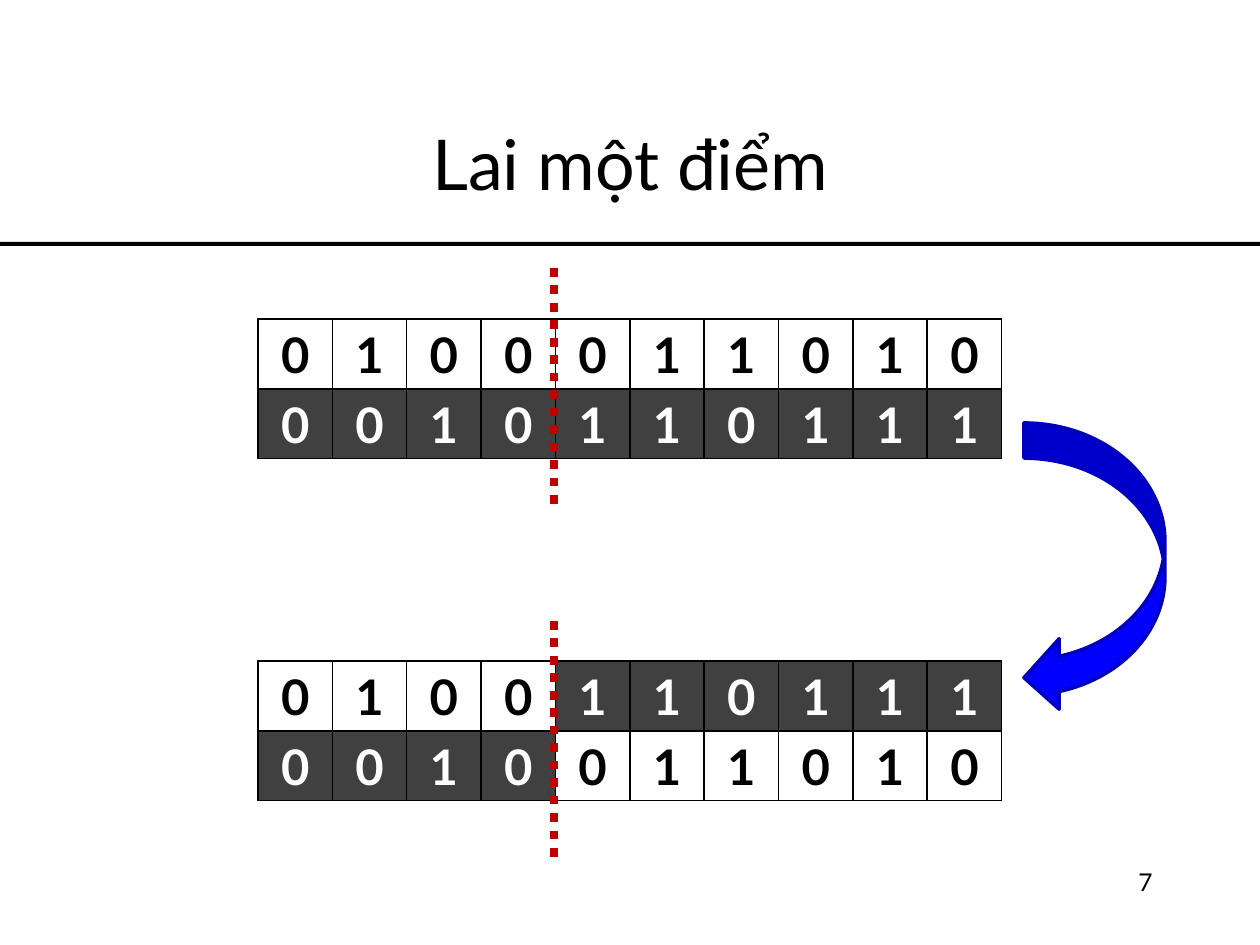
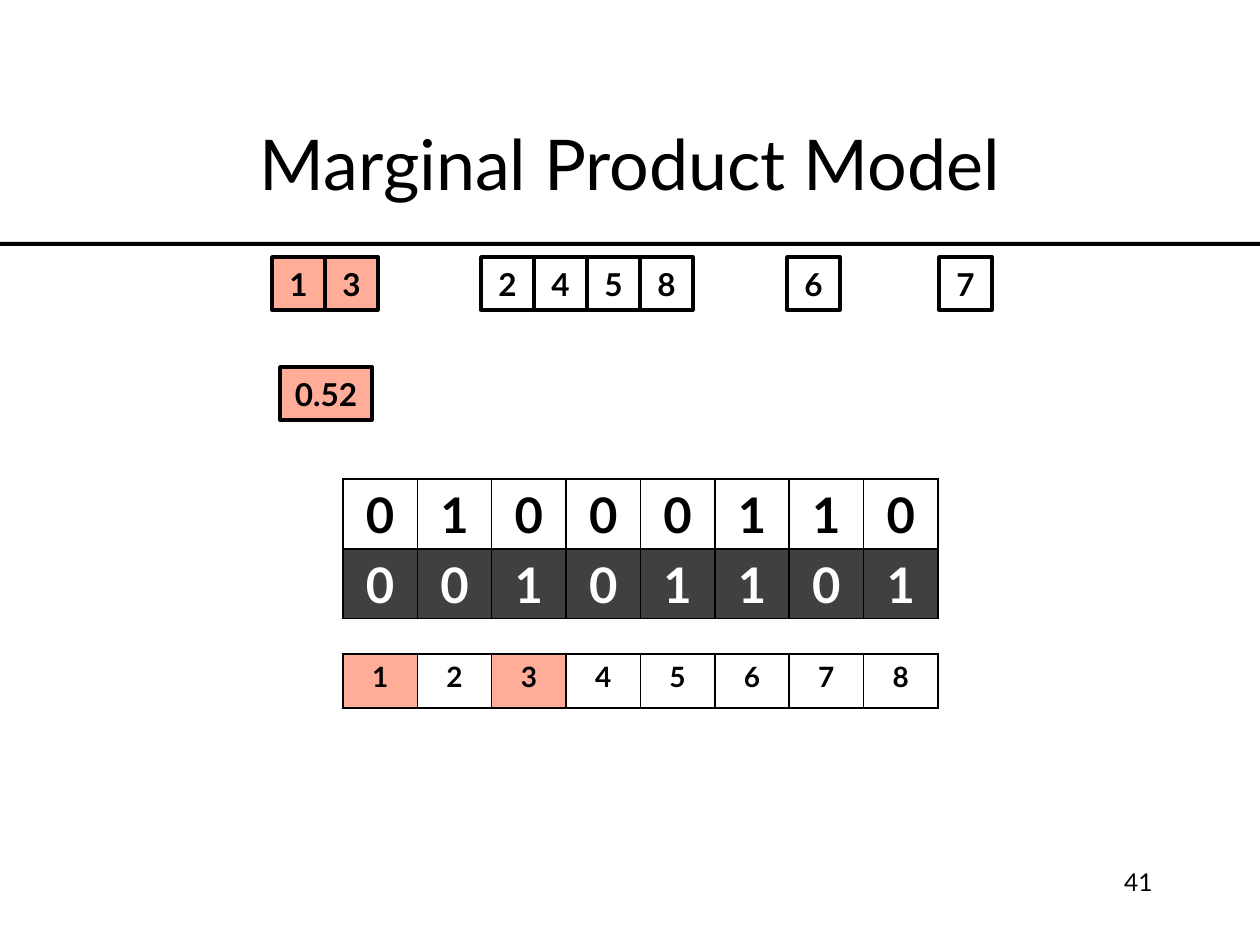
from dataclasses import dataclass

from lxml.etree import SubElement
from pptx import Presentation
from pptx.dml.color import RGBColor as Rgb
from pptx.enum.dml import MSO_LINE_DASH_STYLE as Dash
from pptx.enum.shapes import MSO_CONNECTOR_TYPE as Link, MSO_SHAPE as Shape
from pptx.enum.text import MSO_VERTICAL_ANCHOR as Anchor, PP_PARAGRAPH_ALIGNMENT as Align
from pptx.oxml.ns import qn
from pptx.util import Emu, Pt

SCALE = 914400 / 126
FONT = "Lato"
COLORS = {
    "black": "000000",
    "white": "FFFFFF",
    "dark": "404040",
    "rose": "FFAD99",
    "red": "C00000",
    "blue": "0000FF",
    "navy": "0000BD",
}
FILLS = {".": None, "w": "white", "d": "dark", "r": "rose"}
CHIP = 53


@dataclass
class Strip:
    """A table of genes; marks give one fill letter per cell."""
    left: int
    top: int
    width: int
    high: int
    rows: list[str]
    marks: list[str]
    size: int = 28


@dataclass
class Group:
    """A run of touching chips that hold one label each."""
    left: int
    top: int
    labels: list[str]
    fill: str | None = None
    width: int = CHIP


def px(count: float) -> Emu:
    """Turn pixels into EMU."""
    return Emu(round(count * SCALE))


def box(*sides: int) -> list[Emu]:
    """Turn several pixel lengths into EMU."""
    return [px(side) for side in sides]


def hue(name: str) -> Rgb:
    """Look up a named colour."""
    return Rgb.from_string(COLORS[name])


def paint(fill, name: str | None) -> None:
    """Fill with a named colour, or leave clear."""
    if name is None:
        fill.background()
    else:
        fill.solid()
        fill.fore_color.rgb = hue(name)


def write(frame, text: str, size: int, align: Align, color: str = "black", bold: bool = False) -> None:
    """Set one styled line of text."""
    frame.text = text
    para = frame.paragraphs[0]
    para.alignment = align
    font = para.runs[0].font
    font.name, font.size, font.bold = FONT, Pt(size), bold
    font.color.rgb = hue(color)


def form(slide, kind: Shape, sides: list[Emu], fill: str | None, line: str | None):
    """Draw a flat preset shape."""
    shape = slide.shapes.add_shape(kind, *sides)
    shape.shadow.inherit = False
    paint(shape.fill, fill)
    paint(shape.line.fill, line)
    if line:
        shape.line.width = Pt(2)
    return shape


def label(slide, sides: list[Emu], text: str, size: int, align: Align, anchor: Anchor) -> None:
    """Draw a wrapped text box."""
    frame = slide.shapes.add_textbox(*sides).text_frame
    frame.word_wrap = True
    frame.vertical_anchor = anchor
    write(frame, text, size, align)


def start(deck, title: str, number: int):
    """Add a slide with its rule, title and number."""
    slide = deck.slides.add_slide(deck.slide_layouts[6])
    rule = form(slide, Shape.PENTAGON, box(-74, 242, 1334, 4), "black", None)
    rule.rotation = 180
    rule.adjustments[0] = 0.06
    label(slide, box(94, 84, 1072, 158), title, 40, Align.CENTER, Anchor.MIDDLE)
    label(slide, box(903, 861, 262, 63), str(number), 14, Align.RIGHT, Anchor.TOP)
    return slide


def edge(cell) -> None:
    """Rule all four sides of a cell."""
    props = cell._tc.get_or_add_tcPr()
    for spot, side in enumerate(("lnL", "lnR", "lnT", "lnB")):
        line = SubElement(props, qn(f"a:{side}"), w=str(Pt(1)))
        solid = SubElement(line, qn("a:solidFill"))
        SubElement(solid, qn("a:srgbClr"), val=COLORS["black"])
        props.insert(spot, line)


def draw_strip(slide, strip: Strip) -> None:
    """Draw a gene table."""
    count = len(strip.rows[0])
    sides = box(strip.left, strip.top, strip.width, strip.high)
    frame = slide.shapes.add_table(len(strip.rows), count, *sides)
    table = frame.table
    table.first_row = table.horz_banding = False
    for col in table.columns:
        col.width = px(strip.width / count)
    for row, text, marks in zip(table.rows, strip.rows, strip.marks):
        row.height = px(54)
        for cell, gene, mark in zip(row.cells, text, marks):
            cell.margin_left, cell.margin_right, cell.margin_top, cell.margin_bottom = box(11, 11, 6, 5)
            color = "white" if mark == "d" else "black"
            write(cell.text_frame, gene, strip.size, Align.CENTER, color, True)
            paint(cell.fill, FILLS[mark])
            edge(cell)
    frame.height = px(strip.high)


def draw_group(slide, group: Group) -> None:
    """Draw chips side by side."""
    for spot, text in enumerate(group.labels):
        sides = box(group.left + spot * group.width, group.top, group.width, CHIP)
        frame = form(slide, Shape.RECTANGLE, sides, group.fill, "black").text_frame
        frame.word_wrap = False
        frame.vertical_anchor = Anchor.MIDDLE
        write(frame, text, 18, Align.CENTER, bold=True)


def draw_cut(slide, top: int) -> None:
    """Draw the dotted line where genes are cut."""
    line = slide.shapes.add_connector(Link.STRAIGHT, *box(554, top, 554, top + 240))
    line.line.color.rgb = hue("red")
    line.line.width = Pt(5)
    line.line.dash_style = Dash.ROUND_DOT
    SubElement(line._element.spPr, qn("a:effectLst"))


def cross(first: str, second: str, cut: int = 4) -> list[str]:
    """Swap the tails of two strings."""
    return [first[:cut] + second[cut:], second[:cut] + first[cut:]]


def one_point(deck) -> None:
    """Build the slide on one-point crossing."""
    slide = start(deck, "Lai một điểm", 7)
    genes = ["0100011010", "0010110111"]
    wide = len(genes[0])
    draw_strip(slide, Strip(258, 319, 744, 140, genes, ["." * wide, "d" * wide]))
    marks = cross("....wwwwww", "d" * wide)
    draw_strip(slide, Strip(258, 661, 744, 140, cross(*genes), marks))
    for top in (268, 621):
        draw_cut(slide, top)
    form(slide, Shape.CURVED_LEFT_ARROW, box(1024, 423, 141, 290), "blue", "navy")


def model(deck) -> None:
    """Build the slide on the product model."""
    slide = start(deck, "Marginal Product Model", 41)
    groups = [
        Group(272, 257, ["1", "3"], "rose"),
        Group(481, 257, ["2", "4", "5", "8"]),
        Group(787, 257, ["6"]),
        Group(939, 257, ["7"]),
        Group(280, 367, ["0.52"], "rose", 92),
    ]
    for group in groups:
        draw_group(slide, group)
    draw_strip(slide, Strip(343, 479, 595, 140, ["01000110", "00101101"], ["." * 8, "d" * 8]))
    draw_strip(slide, Strip(343, 654, 595, 54, ["12345678"], ["r.r....."], 16))


def main() -> None:
    """Build and save the deck."""
    deck = Presentation()
    deck.slide_width, deck.slide_height = box(1260, 945)
    one_point(deck)
    model(deck)
    deck.save("out.pptx")


if __name__ == "__main__":
    main()
